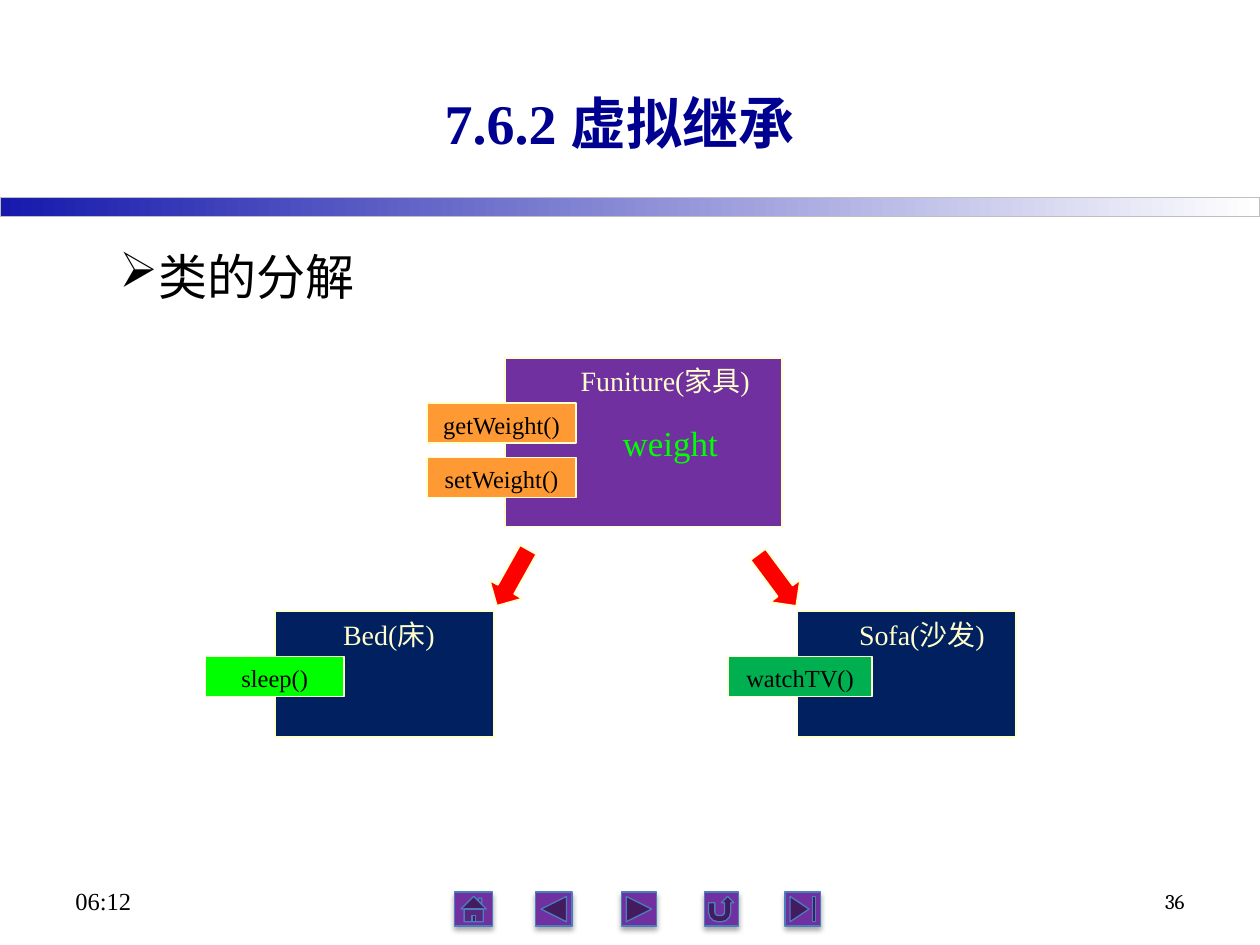
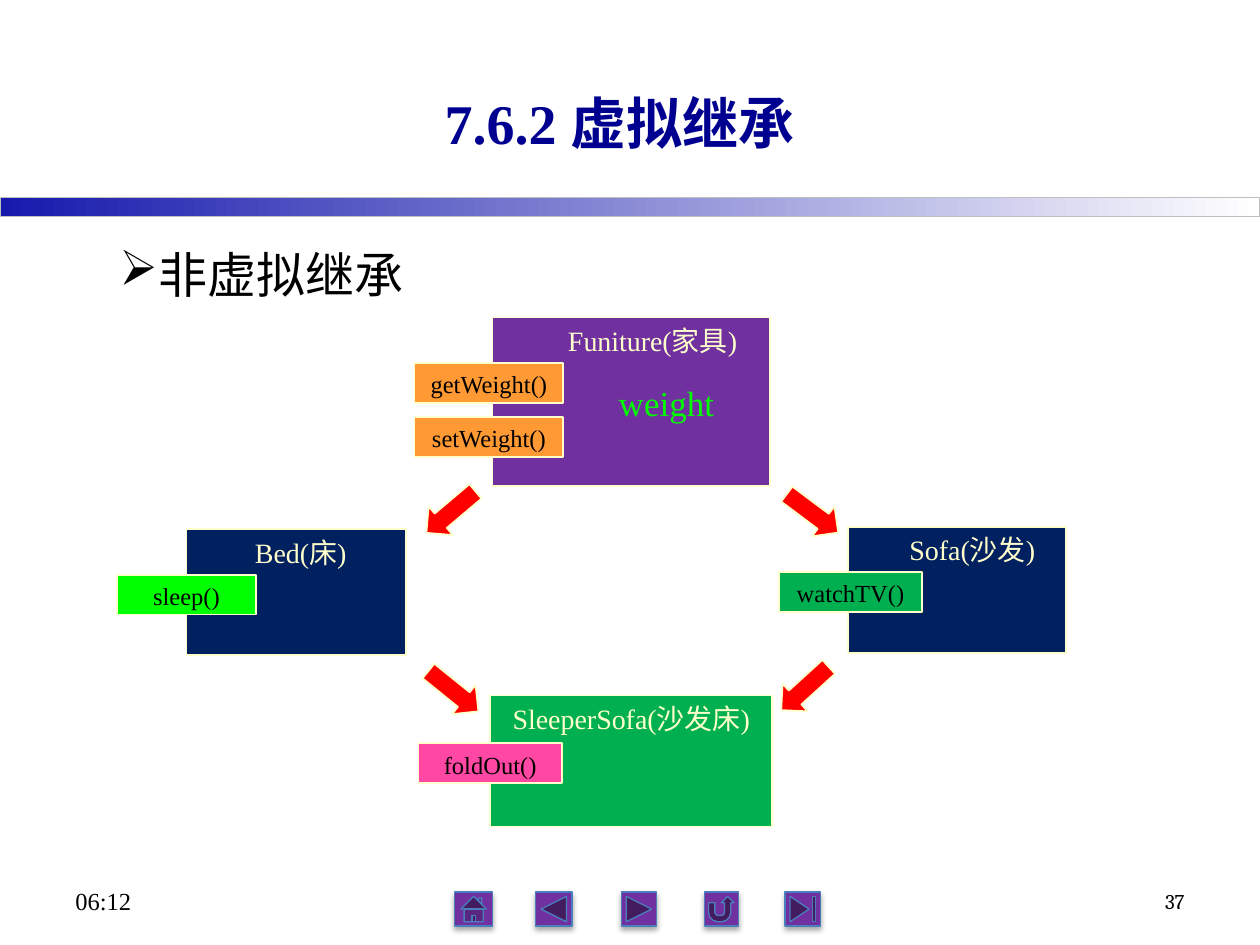
import pptx
import pptx.util
import pptx.dml.color
import pptx.enum.shapes
import pptx.enum.text
import pptx.oxml.ns
import lxml.etree

Pt = pptx.util.Pt
RGBColor = pptx.dml.color.RGBColor
SHAPE = pptx.enum.shapes.MSO_SHAPE
ALIGN = pptx.enum.text.PP_ALIGN
ANCHOR = pptx.enum.text.MSO_ANCHOR
qn = pptx.oxml.ns.qn

BLACK = RGBColor(0x00, 0x00, 0x00)
WHITE = RGBColor(0xFF, 0xFF, 0xFF)
TITLE_BLUE = RGBColor(0x00, 0x00, 0x90)
BAND_BLUE = RGBColor(0x16, 0x19, 0xAC)
BAND_EDGE = RGBColor(0xBF, 0xBF, 0xBF)
BUTTON_EDGE = RGBColor(0x4B, 0x7E, 0xBC)
PURPLE = RGBColor(0x70, 0x30, 0xA0)
CREAM = RGBColor(0xFF, 0xFF, 0xCC)
ORANGE = RGBColor(0xFF, 0x99, 0x33)
NAVY = RGBColor(0x00, 0x20, 0x60)
LIME = RGBColor(0x00, 0xFF, 0x00)
GREEN = RGBColor(0x00, 0xB0, 0x50)
PINK = RGBColor(0xFF, 0x47, 0xA3)
RED = RGBColor(0xFF, 0x00, 0x00)

SERIF = "Times New Roman"
TITLE = "7.6.2 虚拟继承"
CLOCK = "06:12"
METHOD_STEP = 31

BUTTONS = [
    (SHAPE.ACTION_BUTTON_HOME, 259.9, 21.6),
    (SHAPE.ACTION_BUTTON_BACK_OR_PREVIOUS, 306, 20.9),
    (SHAPE.ACTION_BUTTON_FORWARD_OR_NEXT, 355, 20.2),
    (SHAPE.ACTION_BUTTON_RETURN, 402.5, 19.4),
    (SHAPE.ACTION_BUTTON_END, 448.6, 20.2),
]

CLASSES = {
    "Funiture(家具)": dict(size=(158.4, 96.5), fill=PURPLE, indent=36, overhang=44.6, drop=26,
                         methods=["getWeight()", "setWeight()"], method_width=85, method_fill=ORANGE),
    "Bed(床)": dict(size=(125.3, 72), fill=NAVY, indent=32, overhang=39.6, drop=26,
                   methods=["sleep()"], method_width=79.2, method_fill=LIME),
    "Sofa(沙发)": dict(size=(124.6, 72), fill=NAVY, indent=28, overhang=39.6, drop=26,
                     methods=["watchTV()"], method_width=82.1, method_fill=GREEN),
    "SleeperSofa(沙发床)": dict(size=(161.3, 74.9), fill=GREEN, indent=0, overhang=41, drop=27.4,
                             methods=["foldOut()"], method_width=82.1, method_fill=PINK),
}

PAGES = [
    dict(number="36", heading="类的分解", heading_top=127.4, heading_height=367.2, weight_indent=60,
         places={"Funiture(家具)": (288.7, 204.5), "Bed(床)": (157, 349.2), "Sofa(沙发)": (455.8, 349.2)},
         arrows=[(433.4, 313.2, 323.4), (282.2, 311.8, 29.2)]),
    dict(number="37", heading="非虚拟继承", heading_top=126, heading_height=374.4, weight_indent=65,
         places={"Funiture(家具)": (281.5, 181.4), "Bed(床)": (106.6, 302.4), "Sofa(沙发)": (484.6, 301),
                 "SleeperSofa(沙发床)": (280.1, 397.4)},
         arrows=[(453.6, 275, 306.8), (248.4, 376.6, 308.9), (449.3, 375.1, 47.7), (247, 274.3, 49.8)]),
]


def put_text(box, text, size=14, color=BLACK, font=SERIF, bold=False, align=ALIGN.LEFT,
             anchor=ANCHOR.TOP, indent=0, before=0, spacing=None, bullet=None):
    frame = box.text_frame
    frame.word_wrap = True
    frame.vertical_anchor = anchor
    para = frame.add_paragraph() if frame.text else frame.paragraphs[0]
    para.alignment = align
    if spacing:
        para.line_spacing = spacing
    if before:
        para.space_before = Pt(before)
    properties = para._p.get_or_add_pPr()
    properties.set("marL", str(Pt(indent)))
    if bullet:
        properties.set("indent", str(-Pt(indent)))
        lxml.etree.SubElement(properties, qn("a:buChar")).set("char", bullet)
    span = para.add_run()
    span.text = text
    span.font.size = Pt(size)
    span.font.name = font
    span.font.bold = bold
    span.font.color.rgb = color


def add_box(page, kind, left, top, width, height, fill=None, edge=CREAM, edge_width=1):
    box = page.shapes.add_shape(kind, Pt(left), Pt(top), Pt(width), Pt(height))
    box.shadow.inherit = False
    if fill is not None:
        box.fill.solid()
        box.fill.fore_color.rgb = fill
    box.line.color.rgb = edge
    box.line.width = Pt(edge_width)
    return box


deck = pptx.Presentation()
deck.slide_width = Pt(720)
deck.slide_height = Pt(540)

for content in PAGES:
    page = deck.slides.add_slide(deck.slide_layouts[6])

    band = add_box(page, SHAPE.RECTANGLE, 0, 113, 720, 10.8, edge=BAND_EDGE, edge_width=0.75)
    band.fill.gradient()
    band.fill.gradient_angle = 0
    for stop, color, position in zip(band.fill.gradient_stops, (BAND_BLUE, WHITE), (0, 1)):
        stop.color.rgb = color
        stop.position = position

    for kind, left, width in BUTTONS:
        button = add_box(page, kind, left, 509.8, width, 19.4, PURPLE, BUTTON_EDGE, 0.75)
        effects = button._element.spPr.find(qn("a:effectLst"))
        shadow = lxml.etree.SubElement(effects, qn("a:outerShdw"), blurRad=str(Pt(3.1)),
                                       dist=str(Pt(1.8)), dir="5400000", rotWithShape="0")
        tint = lxml.etree.SubElement(shadow, qn("a:srgbClr"), val=str(BLACK))
        lxml.etree.SubElement(tint, qn("a:alpha"), val="35000")

    texts = [
        (CLOCK, (36, 500.4, 167.8, 28.8), dict(anchor=ANCHOR.MIDDLE)),
        (TITLE, (73.4, 24.5, 561.6, 90),
         dict(size=32, color=TITLE_BLUE, bold=True, align=ALIGN.CENTER, anchor=ANCHOR.MIDDLE)),
        (content["heading"], (61.2, content["heading_top"], 600.5, content["heading_height"]),
         dict(size=28, indent=20.9, spacing=1.3, bullet="➢")),
        (content["number"], (516.2, 500.4, 167.8, 28.8),
         dict(size=12, font="Cambria", align=ALIGN.RIGHT, anchor=ANCHOR.MIDDLE)),
    ]
    for text, place, style in texts:
        box = page.shapes.add_textbox(*[Pt(length) for length in place])
        put_text(box, text, **style)

    for name, (left, top) in content["places"].items():
        look = CLASSES[name]
        class_box = add_box(page, SHAPE.RECTANGLE, left, top, *look["size"], fill=look["fill"])
        put_text(class_box, name, size=16, color=CREAM, indent=look["indent"],
                 align=ALIGN.LEFT if look["indent"] else ALIGN.CENTER)
        if name.startswith("Funiture"):
            put_text(class_box, "weight", size=20, color=LIME, indent=content["weight_indent"], before=13.8)
        for row, method in enumerate(look["methods"]):
            method_box = add_box(page, SHAPE.RECTANGLE, left - look["overhang"],
                                 top + look["drop"] + row * METHOD_STEP,
                                 look["method_width"], 22.8, look["method_fill"])
            put_text(method_box, method, align=ALIGN.CENTER)

    for left, top, angle in content["arrows"]:
        arrow = add_box(page, SHAPE.DOWN_ARROW, left, top, 21.4, 36.7, RED)
        arrow.rotation = angle

deck.save("out.pptx")
